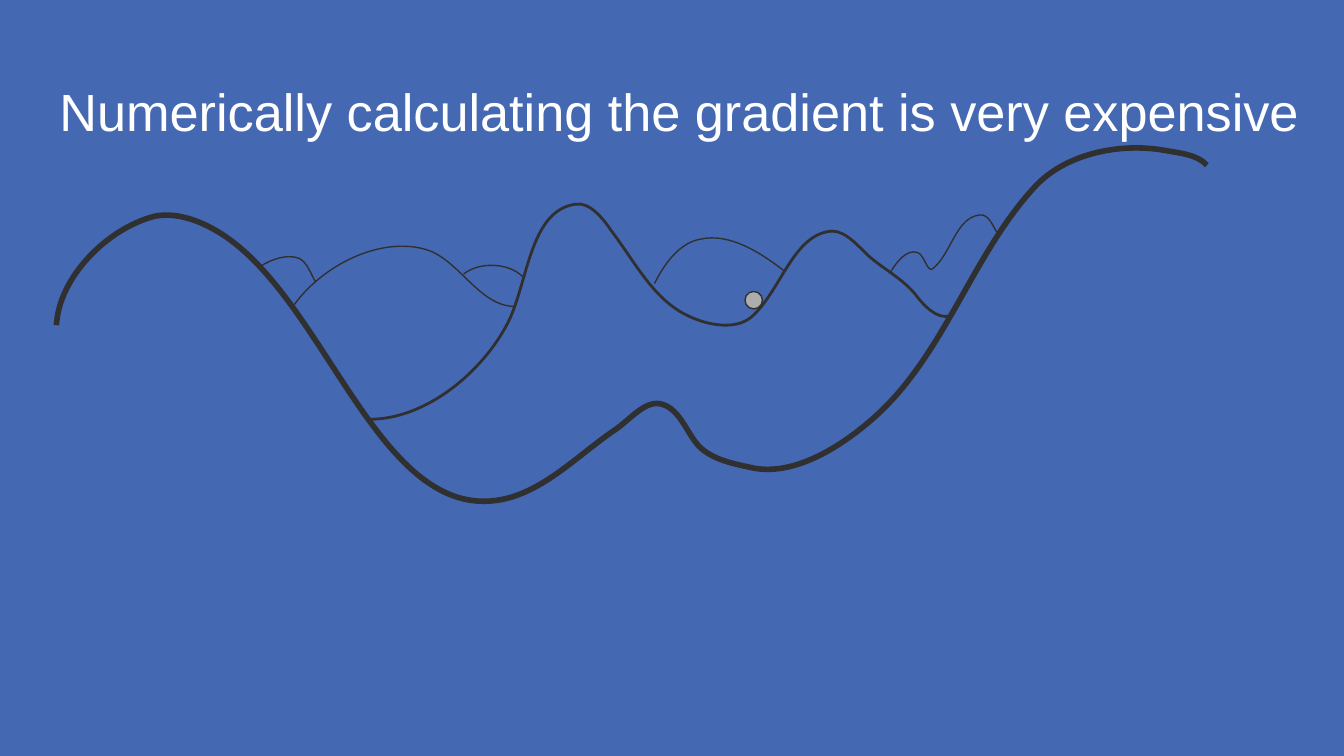
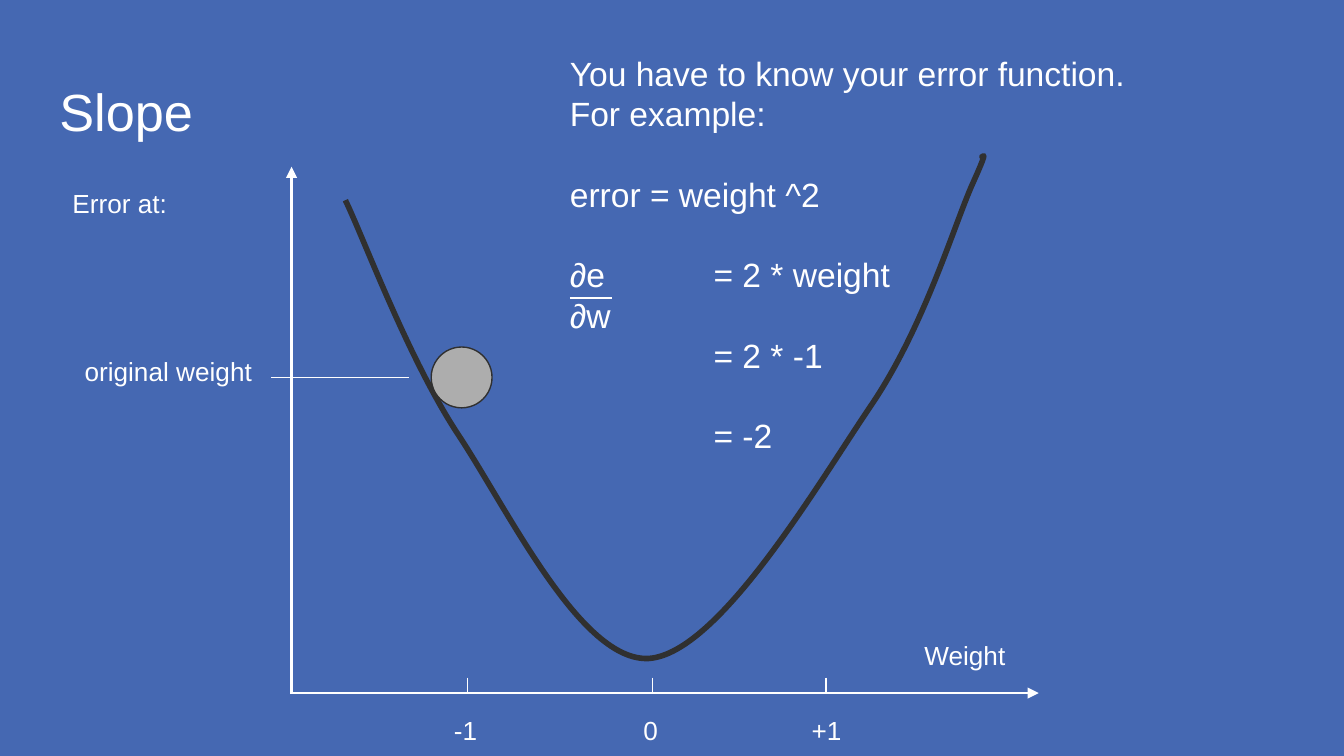
from dataclasses import dataclass
from lxml import etree
from pptx import Presentation
from pptx.dml.color import RGBColor
from pptx.enum.shapes import MSO_CONNECTOR, MSO_SHAPE
from pptx.enum.text import MSO_ANCHOR, MSO_AUTO_SIZE, PP_ALIGN
from pptx.oxml.ns import qn
from pptx.util import Cm, Pt

OVAL = MSO_SHAPE.OVAL
STRAIGHT = MSO_CONNECTOR.STRAIGHT
TOP = MSO_ANCHOR.TOP
LEFT = PP_ALIGN.LEFT
FIXED = MSO_AUTO_SIZE.NONE


@dataclass(frozen=True)
class Theme:
    back: RGBColor = RGBColor(0x45, 0x68, 0xB2)
    text: RGBColor = RGBColor(0xFF, 0xFF, 0xFF)
    ink: RGBColor = RGBColor(0x30, 0x30, 0x30)
    ball: RGBColor = RGBColor(0xAD, 0xAD, 0xAD)
    font: str = "Arial"
    title: float = 28
    body: float = 18
    label: float = 14
    thick: float = 3
    mid: float = 1.5
    thin: float = 0.75


theme = Theme()
GRID = 2.54
STEPS = 20
PAD = Pt(7.2)
LEAD = {theme.title: 33.6, theme.body: 21.6, theme.label: 17.2}


def write(frame, lines, size):
    frame.word_wrap = True
    frame.auto_size = FIXED
    frame.vertical_anchor = TOP
    frame.margin_left = frame.margin_right = PAD
    frame.margin_top = frame.margin_bottom = PAD
    for i, (text, gap) in enumerate(lines):
        para = frame.paragraphs[0] if i == 0 else frame.add_paragraph()
        para.alignment = LEFT
        para.line_spacing = Pt(LEAD[size])
        para.space_before = Pt(gap)
        run = para.add_run()
        run.text = text
        font = run.font
        font.name, font.size = theme.font, Pt(size)
        font.color.rgb = theme.text
        if "\t" in text:
            tabs = etree.SubElement(para._p.get_or_add_pPr(), qn("a:tabLst"))
            etree.SubElement(tabs, qn("a:tab"), pos=str(Cm(2.54)), algn="l")


def trace(slide, nodes, width):
    nodes = [(Cm(x * GRID), Cm(y * GRID)) for x, y in nodes]
    dots = []
    for i in range(0, len(nodes) - 1, 3):
        for step in range(STEPS + 1):
            t = step / STEPS
            u = 1 - t
            dots.append([
                u**3 * p + 3 * u * u * t * q + 3 * u * t * t * r + t**3 * s
                for p, q, r, s in zip(*nodes[i:i + 4])])
    xs, ys = zip(*dots)
    left, top = int(min(xs)), int(min(ys))
    wide, high = int(max(xs)) - left, int(max(ys)) - top

    pen = slide.shapes.build_freeform(*nodes[0])
    pen.add_line_segments(nodes[3::3], close=False)
    curve = pen.convert_to_shape()
    curve.left, curve.top, curve.width, curve.height = left, top, wide, high
    route = next(curve._element.iter(qn("a:path")))
    route.set("w", str(wide))
    route.set("h", str(high))
    for child in list(route):
        route.remove(child)
    for i, (x, y) in enumerate(nodes):
        if i == 0:
            move = etree.SubElement(route, qn("a:moveTo"))
        elif i % 3 == 1:
            move = etree.SubElement(route, qn("a:cubicBezTo"))
        etree.SubElement(move, qn("a:pt"), x=str(x - left), y=str(y - top))
    curve.shadow.inherit = False
    curve.fill.background()
    curve.line.color.rgb = theme.ink
    curve.line.width = Pt(width)


hills = [
    (theme.thick, [
        (0.42, 2.42), (0.44, 2.06), (0.8, 1.7), (1.15, 1.61),
        (1.34, 1.57), (1.56, 1.67), (1.72, 1.79),
        (2.47, 2.35), (2.86, 3.93), (3.77, 3.71),
        (4.08, 3.63), (4.32, 3.37), (4.59, 3.19),
        (4.7, 3.11), (4.81, 2.97), (4.93, 3.01),
        (5.06, 3.05), (5.11, 3.22), (5.2, 3.32),
        (5.3, 3.42), (5.45, 3.45), (5.59, 3.48),
        (5.9, 3.55), (6.25, 3.33), (6.49, 3.12),
        (7.03, 2.65), (7.23, 1.89), (7.71, 1.38),
        (7.94, 1.14), (8.34, 1.06), (8.67, 1.12),
        (8.78, 1.14), (8.91, 1.15), (8.98, 1.23)]),
    (theme.mid, [
        (7.07, 2.35), (6.97, 2.38), (6.87, 2.27), (6.81, 2.19),
        (6.72, 2.08), (6.59, 2.01), (6.48, 1.92),
        (6.39, 1.84), (6.3, 1.72), (6.19, 1.72),
        (5.9, 1.74), (5.81, 2.17), (5.59, 2.36),
        (5.47, 2.46), (5.26, 2.42), (5.12, 2.35),
        (4.86, 2.23), (4.72, 1.94), (4.55, 1.72),
        (4.49, 1.63), (4.39, 1.5), (4.28, 1.52),
        (3.94, 1.57), (3.93, 2.1), (3.78, 2.4),
        (3.59, 2.77), (3.17, 3.12), (2.75, 3.12)]),
    (theme.thin, [
        (2.18, 2.28), (2.39, 1.98), (2.83, 1.75), (3.18, 1.86),
        (3.42, 1.94), (3.57, 2.28), (3.83, 2.28)]),
    (theme.thin, [
        (4.87, 2.11), (4.94, 1.97), (5.05, 1.81), (5.21, 1.78),
        (5.43, 1.73), (5.66, 1.88), (5.84, 2.02)]),
    (theme.thin, [
        (2.35, 2.1), (2.31, 2.04), (2.29, 1.95), (2.22, 1.92),
        (2.13, 1.89), (2.02, 1.93), (1.94, 1.98)]),
    (theme.thin, [(3.45, 2.04), (3.56, 1.95), (3.78, 1.95), (3.89, 2.06)]),
    (theme.thin, [
        (6.63, 2.02), (6.67, 1.95), (6.75, 1.85), (6.83, 1.88),
        (6.88, 1.9), (6.9, 2.03), (6.94, 2),
        (7.08, 1.89), (7.11, 1.62), (7.29, 1.6),
        (7.36, 1.59), (7.39, 1.69), (7.43, 1.75)]),
]
bowl = [
    (theme.thick, [
        (2.57, 1.49), (2.71, 1.78), (3.03, 2.65), (3.4, 3.22),
        (3.78, 3.79), (4.32, 4.93), (4.83, 4.9),
        (5.35, 4.86), (6.08, 3.61), (6.48, 3.02),
        (6.88, 2.43), (7.1, 1.67), (7.24, 1.36),
        (7.38, 1.05), (7.29, 1.2), (7.31, 1.16)]),
]

deck = Presentation()
deck.slide_width, deck.slide_height = Cm(25.4), Cm(14.29)
fill = deck.slide_master.background.fill
fill.solid()
fill.fore_color.rgb = theme.back

pages = [
    ("Numerically calculating the gradient is very expensive", 24.21,
     [("ball", (14.08, 5.51, 0.33)), *hills]),
    ("Slope", 23.67, [*bowl, ("ball", (8.15, 6.56, 1.15))]),
]
for head, width, parts in pages:
    slide = deck.slides.add_slide(deck.slide_layouts[5])
    title = slide.shapes.title
    title.left, title.top = Cm(0.87), Cm(1.24)
    title.width, title.height = Cm(width), Cm(1.6)
    write(title.text_frame, [(head, 0)], theme.title)
    for kind, data in parts:
        if kind != "ball":
            trace(slide, data, kind)
            continue
        x, y, size = data
        ball = slide.shapes.add_shape(OVAL, Cm(x), Cm(y), Cm(size), Cm(size))
        ball.shadow.inherit = False
        ball.fill.solid()
        ball.fill.fore_color.rgb = theme.ball
        ball.line.color.rgb = theme.ink
        ball.line.width = Pt(theme.thin)

BASE = 13.1
ticks = [(x, 12.81, x, BASE, theme.thin, False) for x in (8.84, 12.33, 15.61)]
lines = [
    (5.51, BASE, 5.51, 3.15, theme.mid, True),
    (5.49, BASE, 19.63, BASE, theme.mid, True),
    (7.73, 7.13, 5.13, 7.13, theme.thin, False),
    (10.77, 5.63, 11.56, 5.63, theme.thin, False),
    *ticks,
]
for x1, y1, x2, y2, width, arrow in lines:
    line = slide.shapes.add_connector(
        STRAIGHT, Cm(x1), Cm(y1), Cm(x2), Cm(y2))
    line.line.color.rgb = theme.text
    line.line.width = Pt(width)
    props = line._element.spPr
    if arrow:
        etree.SubElement(
            props.find(qn("a:ln")), qn("a:tailEnd"), type="triangle")
    etree.SubElement(props, qn("a:effectLst"))

labels = [
    ("Error at:", 1.12, 3.28),
    ("Weight", 17.22, 11.81),
    ("original weight", 1.35, 6.45),
    ("-1", 8.33, 13.23),
    ("0", 11.91, 13.23),
    ("+1", 15.09, 13.23),
]
for text, x, y in labels:
    box = slide.shapes.add_textbox(Cm(x), Cm(y), Cm(6.65), Cm(0.79))
    write(box.text_frame, [(text, 0)], theme.label)

gap = LEAD[theme.body]
notes = [
    ("You have to know your error function.", 0),
    ("For example:", 0),
    ("error = weight ^2", gap),
    ("∂e \t = 2 * weight", gap),
    ("∂w", 0),
    ("\t = 2 * -1", 0),
    ("\t = -2", gap),
]
box = slide.shapes.add_textbox(Cm(10.52), Cm(0.74), Cm(12.95), Cm(1.98))
write(box.text_frame, notes, theme.body)

deck.save("out.pptx")
